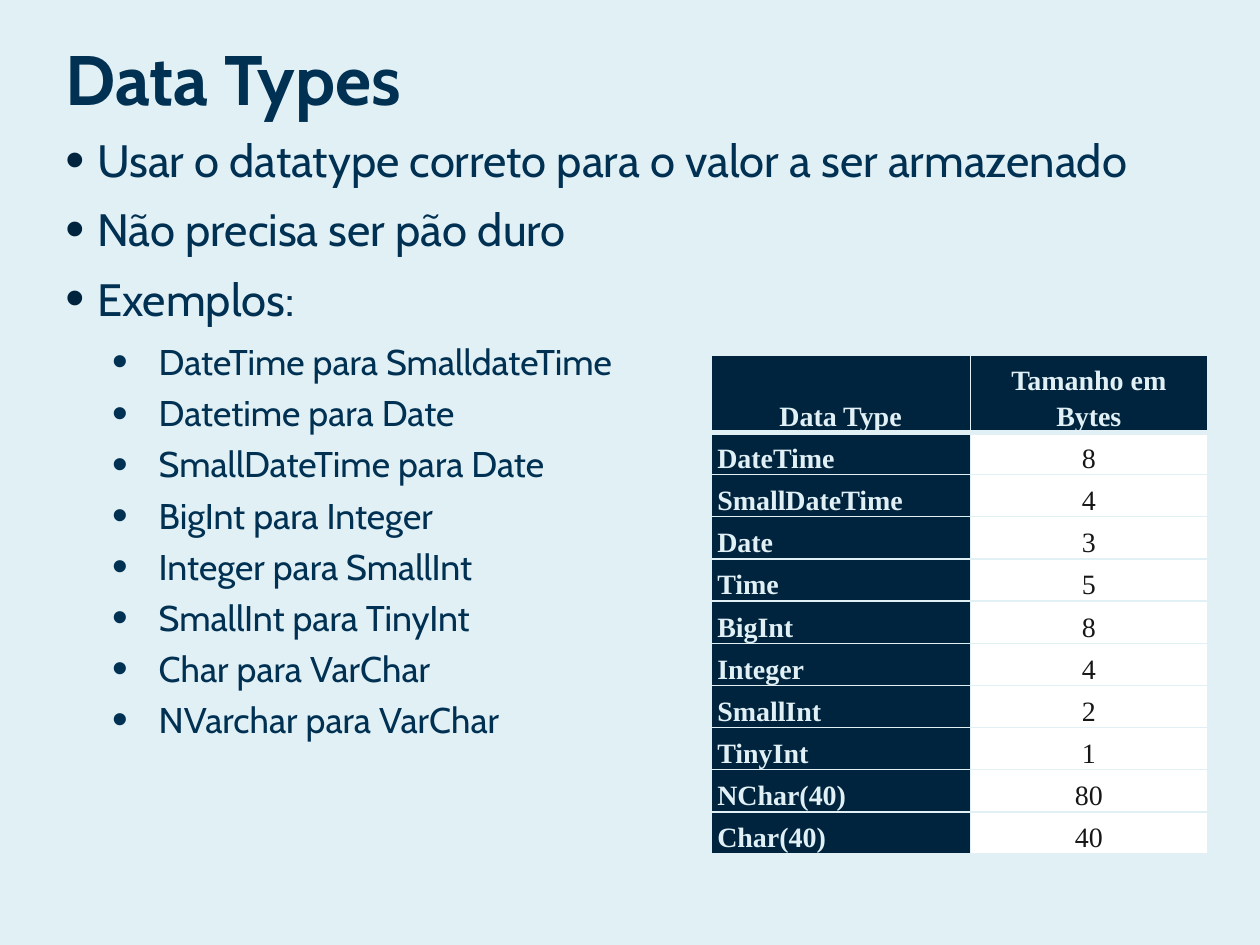
from lxml.etree import SubElement
from pptx import Presentation
from pptx.dml.color import RGBColor
from pptx.enum.text import MSO_ANCHOR, MSO_AUTO_SIZE, PP_ALIGN
from pptx.oxml.ns import qn
from pptx.util import Cm, Pt

COLORS = {
    "background": "E1F0F5",
    "text": "003052",
    "dark": "00243E",
    "white": "FFFFFF",
    "value": "171717",
}
TOPICS = [
    "Usar o datatype correto para o valor a ser armazenado",
    "Não precisa ser pão duro",
    "Exemplos:",
]
EXAMPLES = [
    "DateTime para SmalldateTime",
    "Datetime para Date",
    "SmallDateTime para Date",
    "BigInt para Integer",
    "Integer para SmallInt",
    "SmallInt para TinyInt",
    "Char para VarChar",
    "NVarchar para VarChar",
]
HEADERS = ("Data Type", "Tamanho em Bytes")
SIZES = [
    ("DateTime", 8),
    ("SmallDateTime", 4),
    ("Date", 3),
    ("Time", 5),
    ("BigInt", 8),
    ("Integer", 4),
    ("SmallInt", 2),
    ("TinyInt", 1),
    ("NChar(40)", 80),
    ("Char(40)", 40),
]
LEVELS = [
    {"size": 25.9, "after": 8.5, "margin": 0.64, "hanging": 0.64,
     "bullet": "dark", "percent": 120},
    {"size": 20.4, "after": 4.7, "margin": 1.88, "hanging": 0.94,
     "bullet": "text", "percent": 125},
]


class SlideBuilder:
    text_font = "Cabin"
    table_font = "Times New Roman"

    def __init__(self, presentation):
        self.slide = presentation.slides.add_slide(presentation.slide_layouts[5])
        fill = self.slide.background.fill
        fill.solid()
        fill.fore_color.rgb = RGBColor.from_string(COLORS["background"])

    def format_runs(self, paragraph, font_name, size, color, bold=False):
        for run in paragraph.runs:
            run.font.name = font_name
            run.font.size = Pt(size)
            run.font.bold = bold
            run.font.color.rgb = RGBColor.from_string(COLORS[color])

    def add_title(self, text, left, top, width, height):
        shape = self.slide.shapes.title
        shape.left, shape.top = Cm(left), Cm(top)
        shape.width, shape.height = Cm(width), Cm(height)
        text_frame = shape.text_frame
        text_frame.text = text
        text_frame.auto_size = MSO_AUTO_SIZE.NONE
        text_frame.vertical_anchor = MSO_ANCHOR.MIDDLE
        paragraph = text_frame.paragraphs[0]
        paragraph.alignment = PP_ALIGN.LEFT
        self.format_runs(paragraph, self.text_font, 40, "text", True)

    def add_bullets(self, items, left, top, width, height):
        shape = self.slide.shapes.add_textbox(Cm(left), Cm(top), Cm(width), Cm(height))
        text_frame = shape.text_frame
        text_frame.word_wrap = True
        text_frame.text = "\n".join(text for text, level in items)
        for paragraph, (text, level) in zip(text_frame.paragraphs, items):
            style = LEVELS[level]
            paragraph.level = level
            self.set_bullet(paragraph, style)
            paragraph.space_after = Pt(style["after"])
            self.format_runs(paragraph, self.text_font, style["size"], "text")

    def set_bullet(self, paragraph, style):
        properties = paragraph._p.get_or_add_pPr()
        properties.set("marL", str(Cm(style["margin"])))
        properties.set("indent", str(-Cm(style["hanging"])))
        color = SubElement(properties, qn("a:buClr"))
        SubElement(color, qn("a:srgbClr"), val=COLORS[style["bullet"]])
        SubElement(properties, qn("a:buSzPct"), val=str(style["percent"] * 1000))
        SubElement(properties, qn("a:buFont"), typeface="Arial")
        SubElement(properties, qn("a:buChar"), char="•")

    def add_table(self, rows, left, top, column_widths, header_height, row_height):
        heights = [header_height] + [row_height] * (len(rows) - 1)
        table = self.slide.shapes.add_table(
            len(rows), len(column_widths), Cm(left), Cm(top),
            Cm(sum(column_widths)), Cm(sum(heights))).table
        table.horz_banding = False
        for column, width in zip(table.columns, column_widths):
            column.width = Cm(width)
        for row, height in zip(table.rows, heights):
            row.height = Cm(height)
        for row_index, row in enumerate(rows):
            for column_index, value in enumerate(row):
                cell = table.cell(row_index, column_index)
                self.format_cell(cell, str(value), row_index, column_index)

    def format_cell(self, cell, text, row_index, column_index):
        is_value = row_index > 0 and column_index > 0
        is_label = row_index > 0 and column_index == 0
        cell.text_frame.text = text
        cell.vertical_anchor = MSO_ANCHOR.BOTTOM
        cell.margin_left = cell.margin_right = Cm(0.13)
        cell.margin_top = cell.margin_bottom = 0
        self.set_borders(cell, top=3 if row_index == 1 else 1,
                         bottom=3 if row_index == 0 else 1)
        cell.fill.solid()
        cell.fill.fore_color.rgb = RGBColor.from_string(
            COLORS["white" if is_value else "dark"])
        paragraph = cell.text_frame.paragraphs[0]
        paragraph.alignment = PP_ALIGN.LEFT if is_label else PP_ALIGN.CENTER
        paragraph.line_spacing = 1.15
        self.format_runs(paragraph, self.table_font, 16,
                         "value" if is_value else "background", not is_value)

    def set_borders(self, cell, top, bottom):
        properties = cell._tc.get_or_add_tcPr()
        for side, width in (("L", 1), ("R", 1), ("T", top), ("B", bottom)):
            line = SubElement(properties, qn(f"a:ln{side}"), w=str(Pt(width)))
            fill = SubElement(line, qn("a:solidFill"))
            SubElement(fill, qn("a:srgbClr"), val=COLORS["background"])


def main():
    presentation = Presentation()
    presentation.slide_width, presentation.slide_height = Cm(25.4), Cm(19.05)
    builder = SlideBuilder(presentation)
    builder.add_title("Data Types", 1.07, 0.64, 23.27, 1.85)
    items = [(text, 0) for text in TOPICS] + [(text, 1) for text in EXAMPLES]
    builder.add_bullets(items, 1.07, 2.54, 23.29, 12.75)
    builder.add_table([HEADERS] + SIZES, 14.33, 7.16, (5.23, 4.78), 1.42, 0.85)
    presentation.save("out.pptx")


if __name__ == "__main__":
    main()
